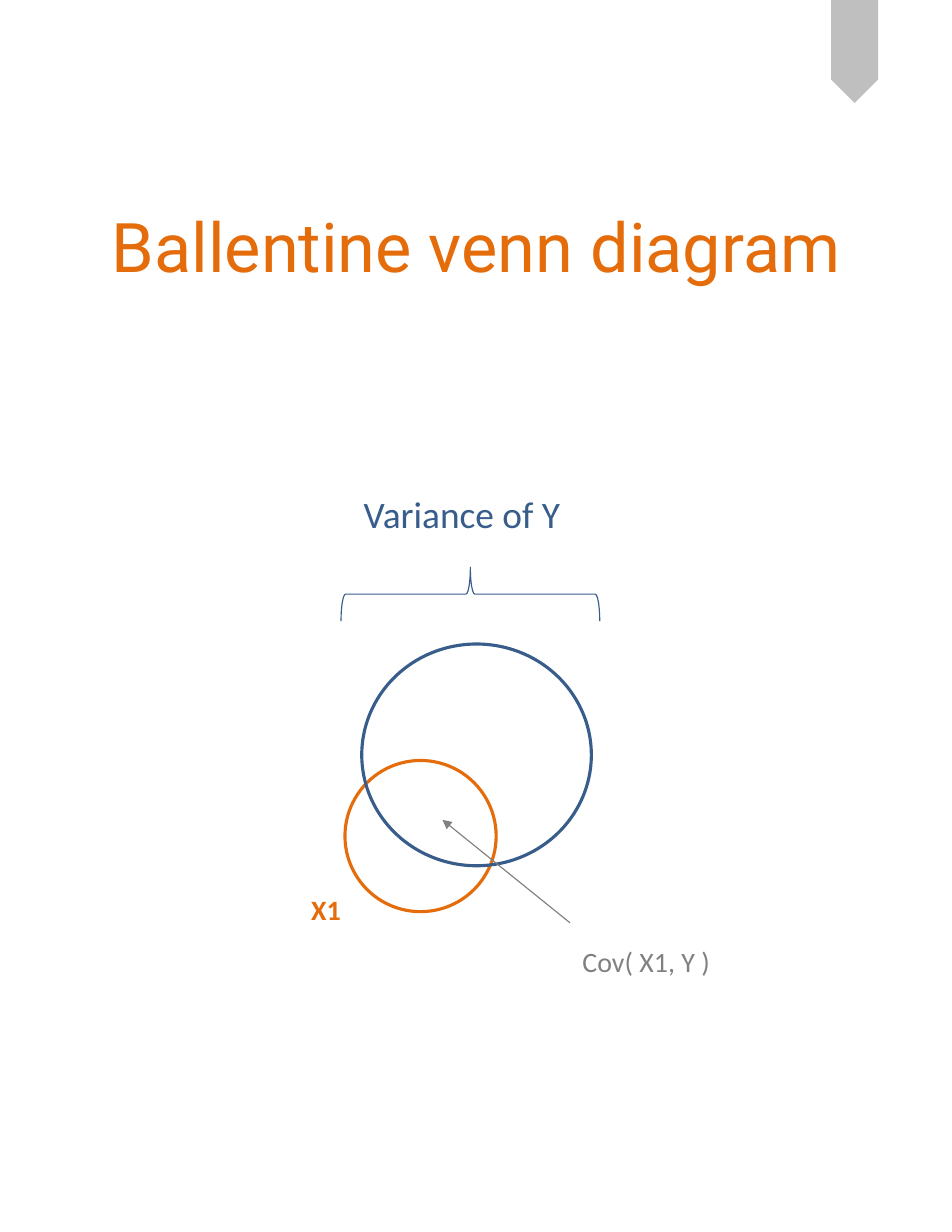
from lxml import etree
from pptx import Presentation
from pptx.dml.color import RGBColor
from pptx.enum.shapes import MSO_CONNECTOR as Link, MSO_SHAPE as Shape
from pptx.enum.text import MSO_ANCHOR as Anchor, PP_ALIGN as Align
from pptx.oxml.ns import qn
from pptx.util import Inches, Pt

ORANGE = RGBColor(0xE4, 0x6C, 0x0A)
BLUE = RGBColor(0x38, 0x5D, 0x8A)
GREY = RGBColor(0x80, 0x80, 0x80)
SILVER = RGBColor(0xBF, 0xBF, 0xBF)


def inches(*nums):
    return [Inches(n) for n in nums]


def write(box, text, size, color, font="Calibri", bold=False,
          align=Align.CENTER, anchor=Anchor.TOP, wrap=False):
    frame = box.text_frame
    frame.word_wrap = wrap
    frame.vertical_anchor = anchor
    para = frame.paragraphs[0]
    para.alignment = align
    run = para.add_run()
    run.text = text
    run.font.size = Pt(size)
    run.font.name = font
    run.font.bold = bold
    run.font.color.rgb = color


def draw(slide, kind, box, fill=None, line=None, width=0.75, turn=0):
    shape = slide.shapes.add_shape(kind, *inches(*box))
    shape.shadow.inherit = False
    shape.rotation = turn
    if fill is None:
        shape.fill.background()
    else:
        shape.fill.solid()
        shape.fill.fore_color.rgb = fill
    if line is None:
        shape.line.fill.background()
    else:
        shape.line.color.rgb = line
        shape.line.width = Pt(width)


def add_label(slide, box, text, size, color, **style):
    write(slide.shapes.add_textbox(*inches(*box)), text, size, color, **style)


def add_arrow(slide, start, end):
    arrow = slide.shapes.add_connector(Link.STRAIGHT, *inches(*start, *end))
    arrow.line.color.rgb = GREY
    arrow.line.width = Pt(0.75)
    line = arrow.line._get_or_add_ln()
    etree.SubElement(line, qn("a:tailEnd"), type="triangle")
    etree.SubElement(arrow._element.spPr, qn("a:effectLst"))


def add_title(slide, box):
    title = slide.shapes.title
    title.left, title.top, title.width, title.height = inches(*box)
    write(title, "Ballentine venn diagram", 44, ORANGE, font="Roboto",
          anchor=Anchor.MIDDLE, wrap=True)


def add_venn(slide, left, top):
    """Two overlapping circles with brace, labels and covariance arrow."""
    def at(x, y, *size):
        return (left + x, top + y, *size)

    add_label(slide, at(0, 3.58, 0.47, 0.4), "X1", 18, ORANGE,
              bold=True, align=Align.LEFT)
    draw(slide, Shape.OVAL, at(0.4, 2.45, 1.35, 1.35), line=ORANGE, width=2)
    draw(slide, Shape.OVAL, at(0.55, 1.41, 2.05, 1.98), line=BLUE, width=2)
    add_label(slide, at(0.46, 0, 1.97, 0.5), "Variance of Y", 24, BLUE)
    add_label(slide, at(2.41, 4.04, 1.36, 0.4), "Cov( X1, Y )", 18, GREY)
    add_arrow(slide, at(2.41, 3.9), at(1.27, 2.98))
    draw(slide, Shape.RIGHT_BRACE, at(1.28, -0.19, 0.48, 2.31),
         line=BLUE, turn=270)


def main():
    deck = Presentation()
    deck.slide_width, deck.slide_height = inches(8.5, 11)
    slide = deck.slides.add_slide(deck.slide_layouts[5])
    draw(slide, Shape.PENTAGON, (7.17, 0.25, 0.92, 0.42), fill=SILVER, turn=90)
    add_title(slide, (0.43, 1.27, 7.65, 1.83))
    add_venn(slide, 2.68, 4.34)
    deck.save("out.pptx")


if __name__ == "__main__":
    main()
